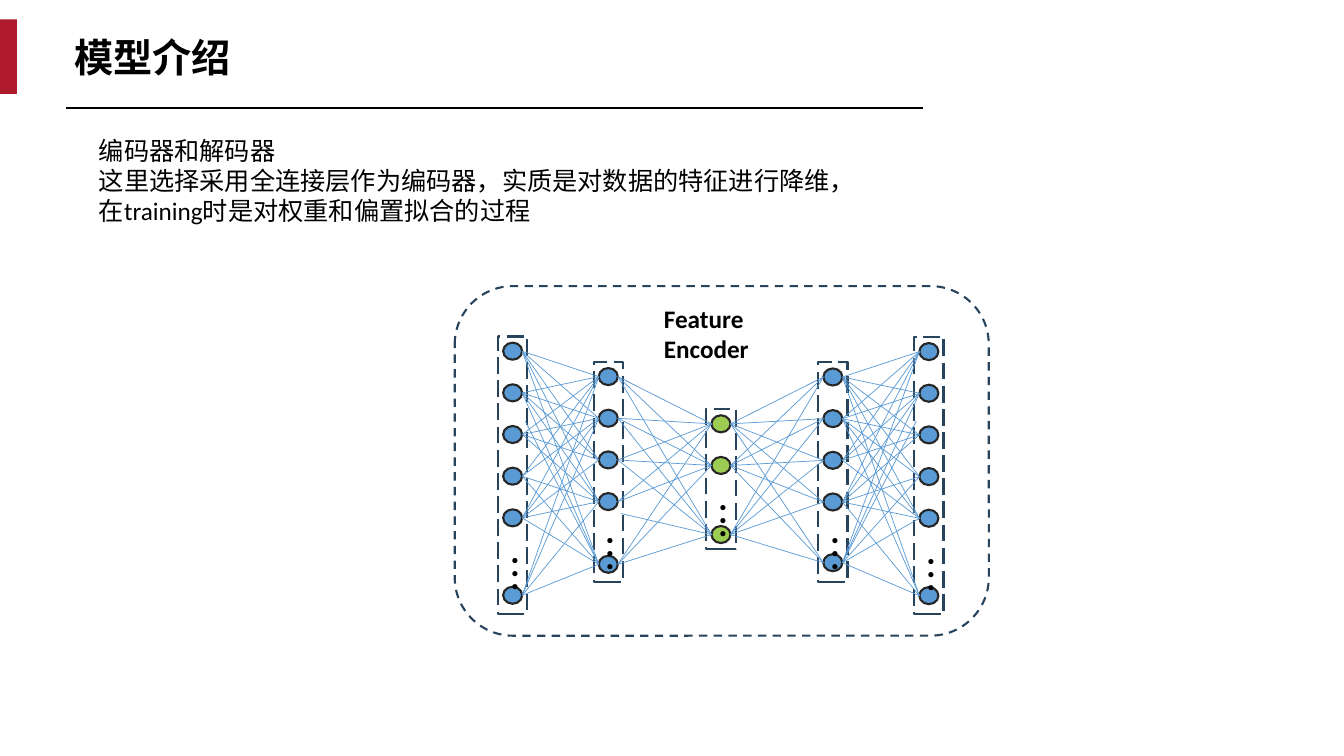
from itertools import product

from lxml.etree import SubElement
from pptx import Presentation
from pptx.dml.color import RGBColor
from pptx.enum.dml import MSO_LINE
from pptx.enum.shapes import MSO_CONNECTOR, MSO_SHAPE
from pptx.enum.text import MSO_ANCHOR, MSO_AUTO_SIZE, PP_ALIGN
from pptx.oxml.ns import qn
from pptx.util import Cm, Pt

# Content
TITLE = "模型介绍"
BODY = [
    "编码器和解码器",
    "这里选择采用全连接层作为编码器，实质是对数据的特征进行降维，",
    "在training时是对权重和偏置拟合的过程",
]
CAPTION = "Feature Encoder"

BLACK = RGBColor(0x00, 0x00, 0x00)
RED = RGBColor(0xAF, 0x1B, 0x2D)
NAVY = RGBColor(0x28, 0x44, 0x5D)
BLUE = RGBColor(0x5B, 0x9B, 0xD5)
GREEN = RGBColor(0x9D, 0xCC, 0x53)
DARK = RGBColor(0x26, 0x26, 0x26)
LATIN, CJK = "Calibri", "Noto Sans CJK SC"

# Layers: centre x, first node y, evenly spaced nodes, last node y, dots y, frame height, colour
LAYERS = [
    (12.92, 8.85, 5, 15.0, 13.72, 6.99, BLUE),
    (15.33, 9.49, 4, 14.22, 13.23, 5.54, BLUE),
    (18.17, 10.68, 2, 13.47, 12.4, 3.53, GREEN),
    (20.99, 9.5, 4, 14.18, 13.21, 5.54, BLUE),
    (23.41, 8.86, 5, 15.01, 13.74, 6.99, BLUE),
]
# Links: from layer, to layer, unlinked node pairs
OUTER_GAPS = {(3, 2), (5, 2)}
LINKS = [(0, 1, OUTER_GAPS), (4, 3, OUTER_GAPS), (1, 2, set()), (2, 3, set())]
# Links that start beside their node: (from layer, node, target) -> dx, dy
START_SHIFT = {(0, 2, 4): (0.08, -0.33), (4, 2, 4): (-0.08, -0.35),
               (1, 3, 2): (0.08, 0.3)}
PITCH, NODE_W, NODE_H = 1.05, 0.48, 0.43
FRAME_W, FRAME_PAD, DOTS_DX = 0.74, 0.37, -0.34


def write(shape, lines, size=18, font=LATIN, bold=False, align=PP_ALIGN.LEFT,
          anchor=MSO_ANCHOR.TOP, vertical=False):
    tf = shape.text_frame
    tf.word_wrap = True
    tf.auto_size = MSO_AUTO_SIZE.SHAPE_TO_FIT_TEXT
    tf.vertical_anchor = anchor
    if vertical:
        tf._txBody.bodyPr.set("vert", "eaVert")
    for i, line in enumerate(lines):
        p = tf.add_paragraph() if i else tf.paragraphs[0]
        p.alignment = align
        p.space_before = Pt(0)
        pPr = p._p.get_or_add_pPr()
        pPr.set("marL", "0")
        pPr.set("indent", "0")
        SubElement(pPr, qn("a:buNone"))
        r = p.add_run()
        r.text = line
        r.font.size, r.font.bold, r.font.name = Pt(size), bold, font
        r.font.color.rgb = BLACK
        SubElement(r._r.get_or_add_rPr(), qn("a:ea")).set("typeface", CJK)


def place(shape, x, y, w, h):
    shape.left, shape.top, shape.width, shape.height = Cm(x), Cm(y), Cm(w), Cm(h)
    return shape


def add_text(x, y, w, h, text, **style):
    write(s.shapes.add_textbox(Cm(x), Cm(y), Cm(w), Cm(h)), [text], **style)


def add_box(kind, x, y, w, h, fill=None, line=None, dash=None):
    sp = s.shapes.add_shape(kind, Cm(x), Cm(y), Cm(w), Cm(h))
    sp.shadow.inherit = False
    if fill is None:
        sp.fill.background()
    else:
        sp.fill.solid()
        sp.fill.fore_color.rgb = fill
    if line is None:
        sp.line.fill.background()
    else:
        sp.line.color.rgb, sp.line.width = line, Pt(1.5)
        if dash:
            sp.line.dash_style = dash


def add_line(x1, y1, x2, y2, color, width):
    c = s.shapes.add_connector(MSO_CONNECTOR.STRAIGHT, Cm(x1), Cm(y1), Cm(x2), Cm(y2))
    c.line.color.rgb, c.line.width = color, Pt(width)
    SubElement(c._element.spPr, qn("a:effectLst"))


def node_ys(layer):
    _, first, count, last, *_ = layer
    return [first + i * PITCH for i in range(count)] + [last]


prs = Presentation()
prs.slide_width, prs.slide_height = Cm(33.87), Cm(19.05)
s = prs.slides.add_slide(prs.slide_layouts[1])

# Header and explanation
title, body = s.placeholders
write(place(title, 0.43, 0.71, 6.83, 1.45), [TITLE], size=28, bold=True,
      align=PP_ALIGN.CENTER, anchor=MSO_ANCHOR.MIDDLE)
add_box(MSO_SHAPE.RECTANGLE, 0, 0.49, 0.43, 1.88, fill=RED)
add_line(1.66, 2.72, 23.27, 2.72, BLACK, 1.5)
write(place(body, 2.24, 3.28, 19.76, 2.57), BODY)

# Layers of nodes
for layer in LAYERS:
    x, first, _, _, dots_y, frame_h, color = layer
    add_box(MSO_SHAPE.RECTANGLE, x - FRAME_W / 2, first - FRAME_PAD, FRAME_W, frame_h,
            line=NAVY, dash=MSO_LINE.LONG_DASH)
    for y in node_ys(layer):
        add_box(MSO_SHAPE.OVAL, x - NODE_W / 2, y - NODE_H / 2, NODE_W, NODE_H,
                fill=color, line=DARK)
    add_text(x + DOTS_DX, dots_y, 1.14, 0.61, "…", size=28, font=CJK, vertical=True)

# Links between layers
for a, b, gaps in LINKS:
    edge = NODE_W / 2 if a < b else -NODE_W / 2
    x1, x2 = LAYERS[a][0] + edge, LAYERS[b][0] - edge
    starts, ends = node_ys(LAYERS[a]), node_ys(LAYERS[b])
    for i, j in product(range(len(starts)), range(len(ends))):
        if (i, j) not in gaps:
            dx, dy = START_SHIFT.get((a, i, j), (0, 0))
            add_line(x1 + dx, starts[i] + dy, x2, ends[j], BLUE, 0.5)

# Outer frame and caption
add_box(MSO_SHAPE.ROUNDED_RECTANGLE, 11.46, 7.21, 13.46, 8.81, line=NAVY, dash=MSO_LINE.DASH)
add_text(16.48, 7.52, 3.51, 0.61, CAPTION, bold=True)

prs.save("out.pptx")
